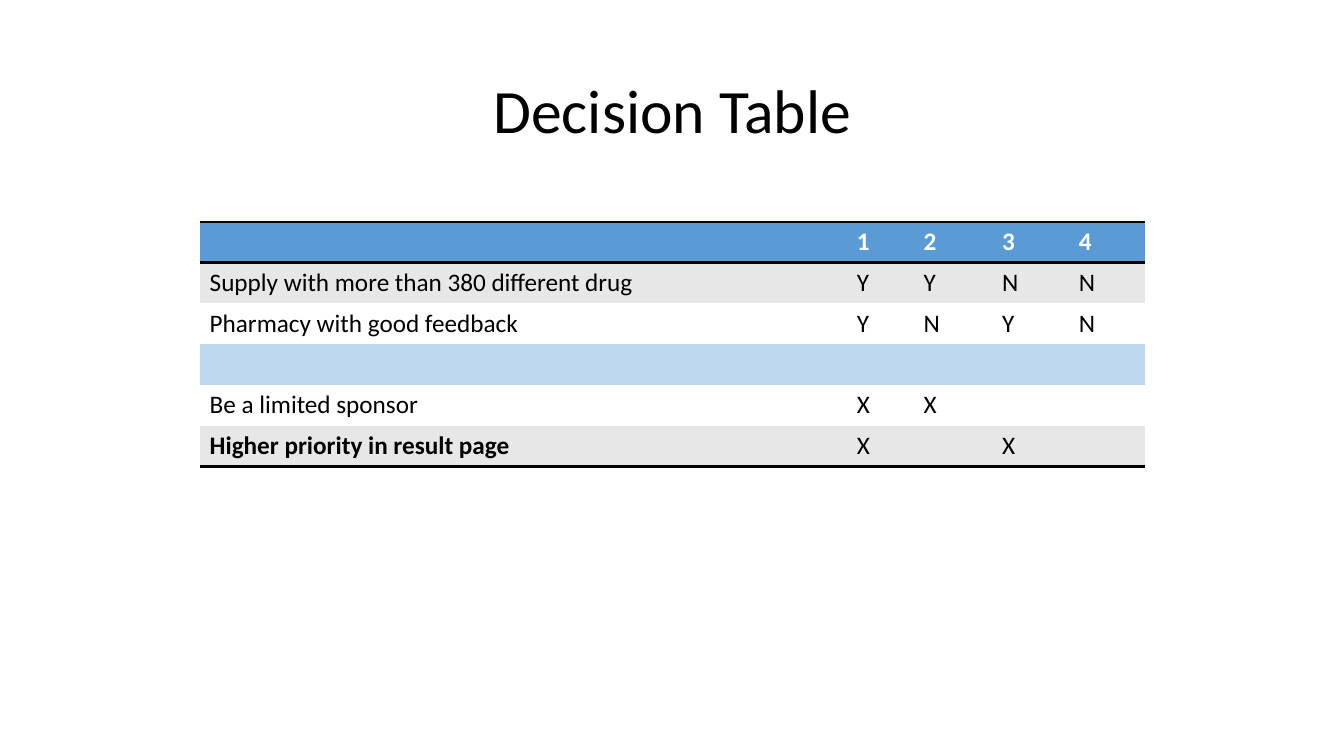
"""Build a slide with a decision table of pharmacy rules."""
import pptx
import pptx.dml.color
import pptx.enum.text
import pptx.oxml
import pptx.oxml.ns
import pptx.util

BLACK = pptx.dml.color.RGBColor(0x00, 0x00, 0x00)
WHITE = pptx.dml.color.RGBColor(0xFF, 0xFF, 0xFF)
BLUE = pptx.dml.color.RGBColor(0x5B, 0x9B, 0xD5)
PALE_BLUE = pptx.dml.color.RGBColor(0xBD, 0xD7, 0xEE)
GREY = pptx.dml.color.RGBColor(0xE7, 0xE7, 0xE7)

FONT = "Calibri"
NO_STYLE = "{2D5ABB26-0587-4C30-8999-92F81FD0307C}"
TABLE_LEFT, TABLE_TOP = 1.98, 2.2
COLUMN_WIDTHS = (6.42, 0.66, 0.78, 0.76, 0.76)
ROW_HEIGHT = 0.405

ROWS = (
    (("", "1", "2", "3", "4"), BLUE, WHITE, "TB"),
    (("Supply with more than 380 different drug", "Y", "Y", "N", "N"), GREY, BLACK, ""),
    (("Pharmacy with good feedback", "Y", "N", "Y", "N"), WHITE, BLACK, ""),
    (("", "", "", "", ""), PALE_BLUE, BLACK, ""),
    (("Be a limited sponsor", "X", "X", "", ""), WHITE, BLACK, ""),
    (("Higher priority in result page", "X", "", "X", ""), GREY, BLACK, "B"),
)
SEPARATOR_ROW = 3
BOLD_CELLS = {(0, column) for column in range(5)} | {(5, 0)}


def apply_format(target, values):
    """Set each named attribute of the target."""
    for name, value in values.items():
        setattr(target, name, value)


def write_text(para, text, size, color, bold=False):
    """Add one formatted span to a paragraph."""
    span = para.add_run()
    span.text = text
    apply_format(span.font, {"name": FONT, "size": pptx.util.Pt(size), "bold": bold})
    span.font.color.rgb = color


def add_title(page, text):
    """Add the centred slide title."""
    lengths = (pptx.util.Inches(length) for length in (0.92, 0.4, 11.5, 1.45))
    frame = page.shapes.add_textbox(*lengths).text_frame
    apply_format(frame, {
        "word_wrap": True,
        "vertical_anchor": pptx.enum.text.MSO_ANCHOR.MIDDLE,
    })
    para = frame.paragraphs[0]
    apply_format(para, {
        "alignment": pptx.enum.text.PP_ALIGN.CENTER,
        "line_spacing": 0.9,
    })
    write_text(para, text, 44, BLACK)


def add_borders(cell, sides):
    """Draw a black rule on the given sides of a cell."""
    properties = cell._tc.get_or_add_tcPr()
    for position, side in enumerate(sides):
        properties.insert(position, pptx.oxml.parse_xml(
            f'<a:ln{side} {pptx.oxml.ns.nsdecls("a")} w="{pptx.util.Pt(2)}">'
            f'<a:solidFill><a:srgbClr val="{BLACK}"/></a:solidFill></a:ln{side}>'
        ))


def add_decision_table(page):
    """Add the table of conditions and actions."""
    lengths = (TABLE_LEFT, TABLE_TOP, sum(COLUMN_WIDTHS), ROW_HEIGHT * len(ROWS))
    table = page.shapes.add_table(
        len(ROWS), len(COLUMN_WIDTHS), *map(pptx.util.Inches, lengths)
    ).table
    apply_format(table, {"first_row": False, "horz_banding": False})
    table._tbl.tblPr.find(pptx.oxml.ns.qn("a:tableStyleId")).text = NO_STYLE
    for column, width in zip(table.columns, COLUMN_WIDTHS):
        column.width = pptx.util.Inches(width)
    for row, (texts, fill, color, sides) in enumerate(ROWS):
        for column, text in enumerate(texts):
            cell = table.cell(row, column)
            cell.fill.solid()
            cell.fill.fore_color.rgb = fill
            add_borders(cell, sides)
            if text:
                para = cell.text_frame.paragraphs[0]
                write_text(para, text, 18, color, (row, column) in BOLD_CELLS)
    table.cell(SEPARATOR_ROW, 0).merge(table.cell(SEPARATOR_ROW, 3))


def main():
    """Build and save the deck."""
    deck = pptx.Presentation()
    apply_format(deck, {
        "slide_width": pptx.util.Inches(13.33),
        "slide_height": pptx.util.Inches(7.5),
    })
    page = deck.slides.add_slide(deck.slide_layouts[6])
    add_title(page, "Decision Table")
    add_decision_table(page)
    deck.save("out.pptx")


if __name__ == "__main__":
    main()
